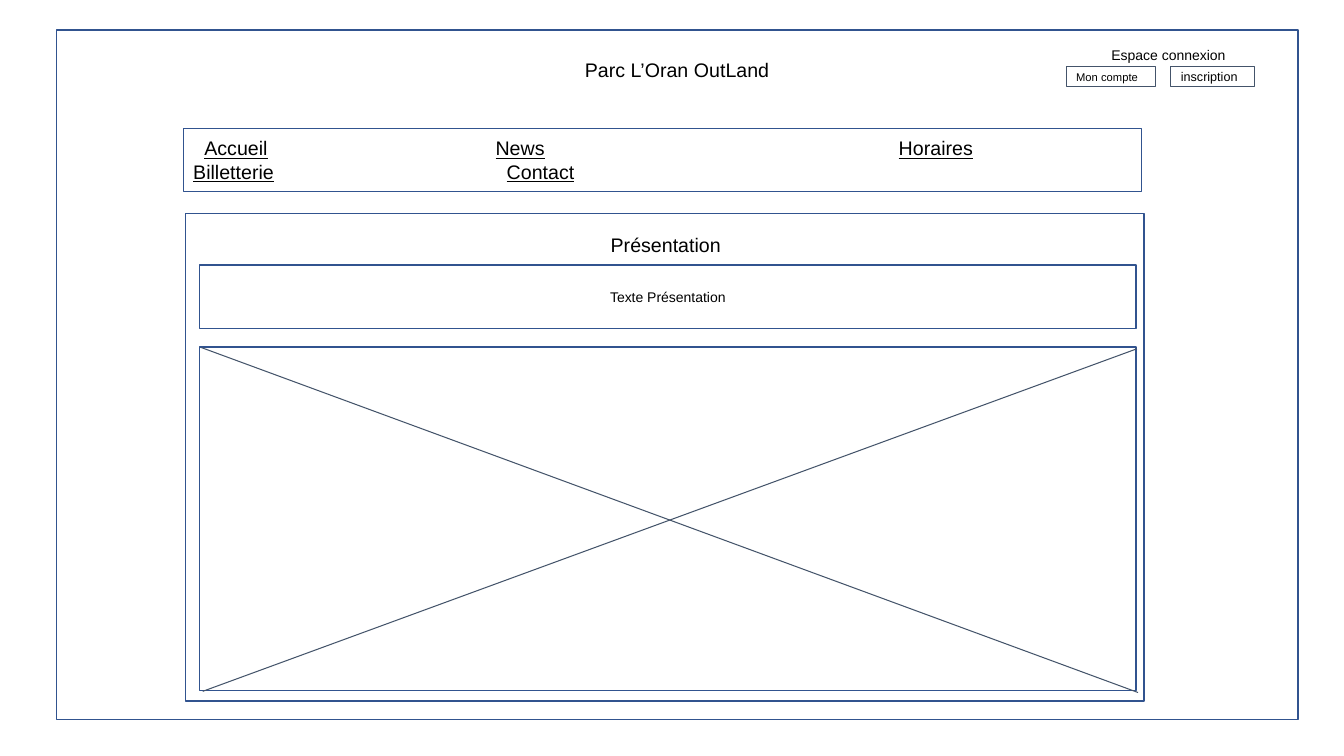
from lxml import etree
from pptx import Presentation
from pptx.dml.color import RGBColor
from pptx.enum import shapes, text
from pptx.oxml import ns
from pptx.util import Cm, Pt

BLACK = RGBColor(0x00, 0x00, 0x00)
BLUE = RGBColor(0x31, 0x53, 0x8F)
SLATE = RGBColor(0x44, 0x54, 0x6A)
INSET = 0.25

SITE = ("Parc L’Oran OutLand", (1.42, 1.22, 31.29, 1.42))
LOGIN = ("Espace connexion", (26.64, 0.91, 5.41, 0.64))
BUTTONS = [
    ("Mon compte", 8, (26.87, 1.68, 2.26, 0.51)),
    ("inscription", 9, (29.51, 1.68, 2.11, 0.51)),
]
MENU_ROWS = [
    [("Accueil", 0.28), ("News", 7.62), ("Horaires", 17.78)],
    [("Billetterie", 0), ("Contact", 7.9)],
]
HEADING = ("Présentation", (4.93, 5.61, 23.7, 1.93))
INTRO = ("Texte Présentation", (5.03, 6.68, 23.6, 1.6))
PAGE = (1.42, 0.76, 31.29, 17.37)
MENU = (4.62, 3.23, 24.16, 1.6)
CONTENT = (4.67, 5.38, 24.16, 12.29)
VISUAL = (5.03, 8.74, 23.6, 8.66)
DIAGONALS = [(5.08, 8.76, 28.68, 17.45), (5.11, 17.42, 28.65, 8.79)]


def lengths(values):
    return [Cm(value) for value in values]


def write(holder, words, size=14, align=text.PP_ALIGN.LEFT,
          anchor=text.MSO_ANCHOR.MIDDLE, underline=False, left=INSET, paragraph=None):
    frame = holder.text_frame
    frame.word_wrap = True
    frame.auto_size = text.MSO_AUTO_SIZE.NONE
    frame.vertical_anchor = anchor
    frame.margin_left = Cm(left)
    frame.margin_top = frame.margin_right = frame.margin_bottom = Cm(INSET)
    paragraph = paragraph or frame.paragraphs[0]
    paragraph.alignment = align
    run = paragraph.add_run()
    run.text = words
    run.font.name = "Arial"
    run.font.size = Pt(size)
    run.font.color.rgb = BLACK
    run.font.underline = underline


def outline(slide, box, color=BLUE, width=1):
    rect = slide.shapes.add_shape(shapes.MSO_SHAPE.RECTANGLE, *lengths(box))
    rect.shadow.inherit = False
    rect.fill.background()
    rect.line.color.rgb = color
    rect.line.width = Pt(width)
    return rect


def fill_menu(menu):
    frame = menu.text_frame
    for index, row in enumerate(MENU_ROWS):
        paragraph = frame.add_paragraph() if index else frame.paragraphs[0]
        stops = etree.SubElement(paragraph._p.get_or_add_pPr(), ns.qn("a:tabLst"))
        for label, start in row:
            if start:
                etree.SubElement(stops, ns.qn("a:tab"), pos=str(Cm(start)), algn="l")
                write(menu, "\t", paragraph=paragraph)
            write(menu, label, underline=True, paragraph=paragraph)


def main():
    deck = Presentation()
    deck.slide_width, deck.slide_height = Cm(33.87), Cm(19.05)
    slide = deck.slides.add_slide(deck.slide_layouts[5])
    center, top = text.PP_ALIGN.CENTER, text.MSO_ANCHOR.TOP

    site = slide.shapes.title
    site.left, site.top, site.width, site.height = lengths(SITE[1])
    write(site, SITE[0], align=center, anchor=top)

    outline(slide, PAGE)
    fill_menu(outline(slide, MENU, width=0.75))

    login = slide.shapes.add_textbox(*lengths(LOGIN[1]))
    write(login, LOGIN[0], size=10, anchor=top, left=1.37)
    for label, size, box in BUTTONS:
        write(outline(slide, box, SLATE, 0.75), label, size=size)

    outline(slide, CONTENT)
    heading = slide.shapes.add_textbox(*lengths(HEADING[1]))
    write(heading, HEADING[0], align=center, anchor=top)
    write(outline(slide, INTRO[1]), INTRO[0], size=10, align=center)

    outline(slide, VISUAL)
    for ends in DIAGONALS:
        diagonal = slide.shapes.add_connector(shapes.MSO_CONNECTOR.STRAIGHT, *lengths(ends))
        diagonal.line.color.rgb = SLATE
        diagonal.line.width = Pt(0.75)
        etree.SubElement(diagonal._element.spPr, ns.qn("a:effectLst"))

    deck.save("out.pptx")


if __name__ == "__main__":
    main()
